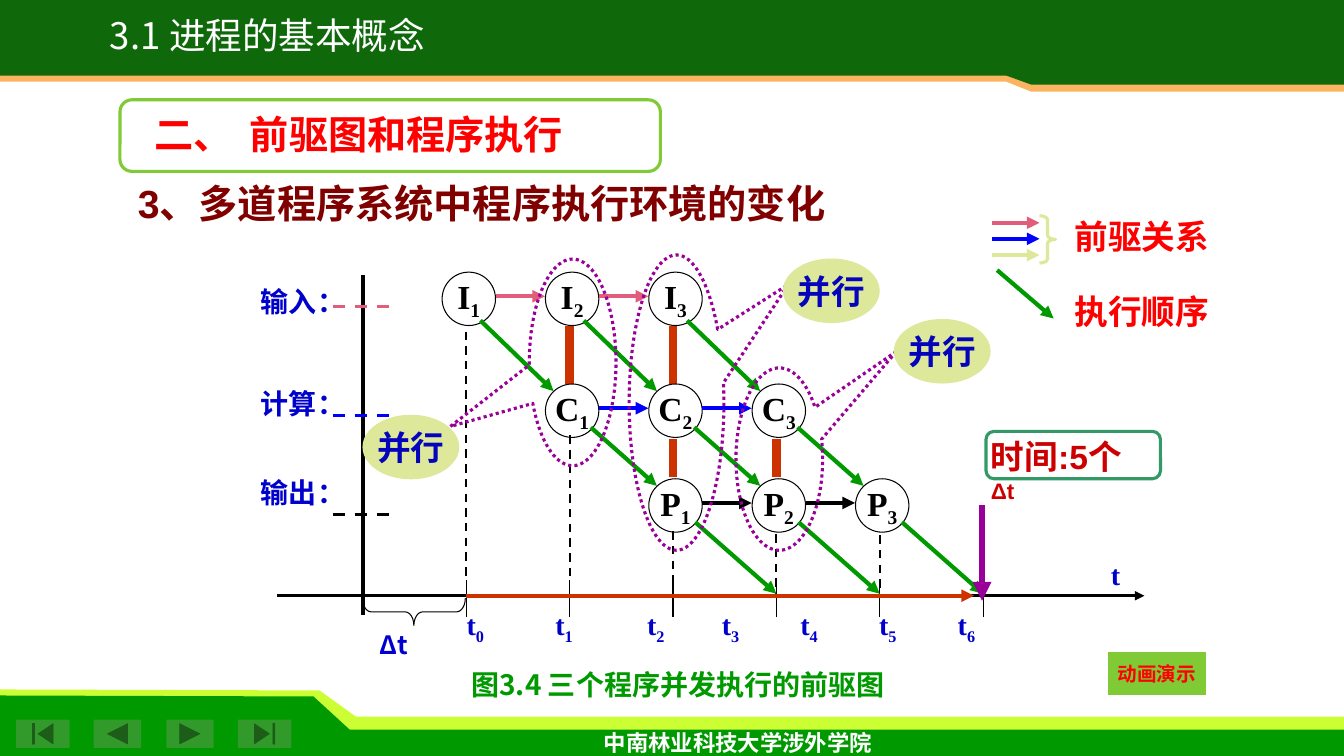
from dataclasses import dataclass

from lxml import etree
from pptx import Presentation
from pptx.dml.color import RGBColor
from pptx.enum.dml import MSO_LINE
from pptx.enum.shapes import MSO_CONNECTOR, MSO_SHAPE
from pptx.enum.text import MSO_ANCHOR, PP_ALIGN
from pptx.oxml.ns import qn
from pptx.util import Inches, Pt

DASH, DOT = MSO_LINE.DASH, MSO_LINE.ROUND_DOT
LEFT, CENTER = PP_ALIGN.LEFT, PP_ALIGN.CENTER
TOP, MIDDLE = MSO_ANCHOR.TOP, MSO_ANCHOR.MIDDLE
STRAIGHT = MSO_CONNECTOR.STRAIGHT
OVAL, ROUNDED = MSO_SHAPE.OVAL, MSO_SHAPE.ROUNDED_RECTANGLE
CALLOUT = MSO_SHAPE.OVAL_CALLOUT
LEFT_BRACE, RIGHT_BRACE = MSO_SHAPE.LEFT_BRACE, MSO_SHAPE.RIGHT_BRACE
BLANK_BUTTON = MSO_SHAPE.ACTION_BUTTON_CUSTOM
FIRST_BUTTON = MSO_SHAPE.ACTION_BUTTON_BEGINNING
BACK_BUTTON = MSO_SHAPE.ACTION_BUTTON_BACK_OR_PREVIOUS
NEXT_BUTTON = MSO_SHAPE.ACTION_BUTTON_FORWARD_OR_NEXT
LAST_BUTTON = MSO_SHAPE.ACTION_BUTTON_END
WIDTH, HEIGHT = 13.33, 7.5


@dataclass(frozen=True)
class Theme:
    sans: str = "Noto Sans CJK SC"
    serif: str = "Times New Roman"
    arial: str = "Arial"
    karla: str = "Karla"
    black: str = "000000"
    white: str = "FFFFFF"
    dark_green: str = "0F690B"
    green: str = "009900"
    button: str = "329A2A"
    lime: str = "CCFF33"
    leaf: str = "80CB35"
    frame: str = "339966"
    orange: str = "FBB561"
    rust: str = "CC3300"
    red: str = "FF0000"
    crimson: str = "CC0000"
    maroon: str = "800000"
    pink: str = "E15D7C"
    blue: str = "0000FF"
    label: str = "0000CC"
    navy: str = "0404BC"
    purple: str = "990099"
    khaki: str = "DDE89A"
    headline: float = 28
    title: float = 26.1
    large: float = 24
    body: float = 20
    delta: float = 18
    small: float = 16
    button_text: float = 14


THEME = Theme()


def write(shape, *paras, font=THEME.serif, size=THEME.body, color=THEME.label, bold=True,
          align=LEFT, anchor=TOP, wrap=True, inset=None, spacing=None, before=(), indent=0, tabs=()):
    """Each para is a string or a list of strings and (text, size, baseline) spans."""
    frame = shape.text_frame
    frame.word_wrap, frame.vertical_anchor = wrap, anchor
    if inset is not None:
        frame.margin_left = frame.margin_right = frame.margin_top = frame.margin_bottom = Inches(inset)
    for index, content in enumerate(paras):
        para = frame.add_paragraph() if index else frame.paragraphs[0]
        para.alignment = align
        if spacing:
            para.line_spacing = spacing
        if index and before:
            para.space_before = Pt(before[index - 1])
        properties = para._p.get_or_add_pPr()
        if indent:
            properties.set("indent", str(Inches(indent)))
        if tabs:
            stops = etree.SubElement(properties, qn("a:tabLst"))
            for stop in tabs:
                etree.SubElement(stops, qn("a:tab"), pos=str(Inches(stop)), algn="l")
        for item in [content] if isinstance(content, str) else content:
            if item == "\n":
                para.add_line_break()
                continue
            text, span_size, baseline = (item, size, 0) if isinstance(item, str) else item
            span = para.add_run()
            span.text = text
            span.font.size, span.font.bold, span.font.name = Pt(span_size), bold, font
            span.font.color.rgb = RGBColor.from_string(color)
            run_properties = span._r.get_or_add_rPr()
            etree.SubElement(run_properties, qn("a:ea"), typeface=THEME.sans)
            if baseline:
                run_properties.set("baseline", str(baseline * 1000))


def subscript(text, size):
    return text, size, -25


@dataclass
class Region:
    """A box on the page; its parts are placed in one-inch columns and rows from its corner."""
    page: object
    left: float = 0
    top: float = 0

    def spot(self, x, y):
        return Inches(self.left + x), Inches(self.top + y)

    def shape(self, kind, x, y, width, height, fill=None, line=None, weight=0.75, dash=None, adjust=()):
        shape = self.page.shapes.add_shape(kind, *self.spot(x, y), Inches(width), Inches(height))
        for index, value in enumerate(adjust):
            shape.adjustments[index] = value
        return paint(shape, fill, line, weight, dash)

    def outline(self, points, fill):
        first, *others = [self.spot(*point) for point in points]
        builder = self.page.shapes.build_freeform(*first)
        builder.add_line_segments(others, close=True)
        return paint(builder.convert_to_shape(), fill)

    def line(self, start, end, color, weight, dash=None, arrow=False):
        line = self.page.shapes.add_connector(STRAIGHT, *self.spot(*start), *self.spot(*end))
        line.line.color.rgb = RGBColor.from_string(color)
        line.line.width = Pt(weight)
        if dash:
            line.line.dash_style = dash
        if arrow:
            etree.SubElement(line.line._get_or_add_ln(), qn("a:tailEnd"), type="triangle")
        etree.SubElement(line._element.spPr, qn("a:effectLst"))

    def text(self, x, y, width, height, *paras, **style):
        box = self.page.shapes.add_textbox(*self.spot(x, y), Inches(width), Inches(height))
        write(box, *paras, **style)


def paint(shape, fill=None, line=None, weight=0.75, dash=None):
    shape.shadow.inherit = False
    if fill:
        shape.fill.solid()
        shape.fill.fore_color.rgb = RGBColor.from_string(fill)
    else:
        shape.fill.background()
    if line:
        shape.line.color.rgb = RGBColor.from_string(line)
        shape.line.width = Pt(weight)
        if dash:
            shape.line.dash_style = dash
    else:
        shape.line.fill.background()
    return shape


def draw_header(region):
    for color, left_edge, right_edge in ((THEME.orange, 0.81, 0.91), (THEME.dark_green, 0.75, 0.84)):
        region.outline([(0, 0), (0, left_edge), (9.98, left_edge), (10.23, right_edge),
                        (WIDTH, right_edge), (WIDTH, 0)], color)
    title = region.page.shapes.title
    title.left, title.top = region.spot(0.49, 0.16)
    title.width, title.height = Inches(4.33), Inches(0.46)
    write(title, "3.1 进程的基本概念", font=THEME.sans, size=THEME.title, color=THEME.white,
          bold=False, align=CENTER, wrap=False, spacing=0.8)
    region.page.shapes._spTree.append(title._element)


def draw_footer(region):
    bottom = HEIGHT - region.top
    for color, top, corner, edge in ((THEME.lime, 0, 3.17, 0.27), (THEME.green, 0.06, 3.11, 0.4)):
        region.outline([(0, bottom), (0, top), (corner, top + 0.01), (corner + 0.36, edge),
                        (WIDTH, edge), (WIDTH, bottom)], color)
    for kind, x, width in ((FIRST_BUTTON, 0.16, 0.53), (BACK_BUTTON, 0.93, 0.47),
                           (NEXT_BUTTON, 1.65, 0.47), (LAST_BUTTON, 2.36, 0.53)):
        region.shape(kind, x, 0.3, width, 0.28, THEME.button)
    region.text(5.89, 0.34, 2.89, 0.37, "中南林业科技大学涉外学院", font=THEME.karla,
                size=THEME.small, color=THEME.white, wrap=False)


def draw_headings(region):
    region.shape(ROUNDED, 0, 0, 5.36, 0.71, THEME.white, THEME.leaf, 2.25)
    region.text(0.24, 0.06, 5.75, 0.57, "二、\t前驱图和程序执行", size=THEME.headline,
                color=THEME.red, tabs=[0.95])
    region.text(-0.03, 0.79, 7.17, 0.52, "3、多道程序系统中程序执行环境的变化", font=THEME.arial,
                size=THEME.headline, color=THEME.maroon, spacing=0.9, indent=0.11)


def draw_diagram(region):
    """The region's corner is the top of the input row on the vertical axis."""
    axis, node = 3.21, 0.53
    ticks = [6.15 / 6 * slot for slot in range(1, 7)]
    lefts = [tick - 0.24 for tick in ticks]
    region.line((0, 0.03), (0, 3.4), THEME.black, 2.25)
    region.line((-0.85, axis), (7.75, axis), THEME.black, 2.25, arrow=True)
    region.text(-1.11, 0.04, 1.1, 2.89, "输入：", "计算：", "输出：", spacing=1.1, before=(46.7, 36.7))
    stops = (2.21, 3.09, 4, 4.74, 5.52, 6.3, 7.08)
    times = [span for index in range(len(stops))
             for span in ("\tt", subscript(str(index), THEME.body))]
    region.text(-1.28, 3.28, 8.29, 0.56, times, tabs=stops)
    brace = region.shape(LEFT_BRACE, 0.37, 2.86, 0.27, 1.02, line=THEME.black, adjust=(0.32, 0.5))
    brace.rotation = 270
    region.text(0.07, 3.49, 0.88, 0.56, "Δt", font=THEME.sans, size=THEME.delta)
    region.text(7.32, 2.78, 0.44, 0.56, "t")

    for tick in ticks:
        region.line((tick, 3.05), (tick, 3.42), THEME.black, 0.75)
    for tick, top, bottom in zip(ticks, (0.59, 1.62, 2.57, 2.6, 2.61), (3.03, 3.03, axis, axis, axis)):
        region.line((tick, top), (tick, bottom), THEME.black, 1.5, DASH)
    for slot, top, bottom in ((1, 0.53, 1.11), (2, 0.53, 1.11), (2, 1.66, 2.03), (3, 1.66, 2.03)):
        region.line((ticks[slot], top), (ticks[slot], bottom), THEME.rust, 6)

    row_tops = (0, 1.11, 2.05)
    rows = (("I", THEME.pink, (0.38, 0.48), 0.34), ("C", THEME.blue, (0.45, 0.43), 1.42),
            ("P", THEME.black, (0.46, 0.43), 2.4))
    for row, (letter, color, (exit_x, exit_y), key_y) in enumerate(rows):
        top = row_tops[row]
        region.line((-0.3, key_y), (0.27, key_y), color, 2.25, DASH)
        for column in range(3):
            left = lefts[row + column]
            circle = region.shape(OVAL, left, top, node, node, line=THEME.black)
            write(circle, [letter, subscript(str(column + 1), THEME.large)], size=THEME.large,
                  color=THEME.black, align=CENTER, anchor=MIDDLE, wrap=False, inset=0)
            if column < 2:
                region.line((left + node, top + 0.24), (left + node + 0.49, top + 0.24), color, 3, arrow=True)
            if row < 2:
                target = (lefts[row + column + 1] + 0.08, row_tops[row + 1] + 0.07)
            else:
                target = (ticks[row + column + 1], axis - 0.02)
            region.line((left + exit_x, top + exit_y), target, THEME.green, 3, arrow=True)

    region.line((6.14, 2.31), (6.14, 3.26), THEME.purple, 4.5, arrow=True)
    region.line((ticks[0], axis), (6.06, axis), THEME.rust, 3, arrow=True)
    region.shape(ROUNDED, 6.18, 1.58, 1.73, 0.47, THEME.white, THEME.frame, 2.25)
    region.text(6.13, 1.58, 1.89, 0.5, ["时间:5个", "\n", ("Δt", THEME.small, 0)],
                font=THEME.arial, size=THEME.large, color=THEME.crimson)
    region.text(0, 3.87, 6.25, 0.56, "图3.4 三个程序并发执行的前驱图", font=THEME.sans,
                color=THEME.green, align=CENTER)


def draw_parallel_pairs(region):
    pairs = (((1.65, -0.13, 0.86, 2.05), (-1.41, 0.31), (0, 1.42)),
             ((2.64, -0.17, 0.94, 2.93), (1.18, -0.4), (4.17, -0.13)),
             ((3.7, 0.95, 0.86, 1.81), (1.35, -0.59), (5.27, 0.47)))
    for ring, pointer, bubble in pairs:
        region.shape(CALLOUT, *ring, line=THEME.purple, weight=2.25, dash=DOT, adjust=pointer)
        oval = region.shape(OVAL, *bubble, 0.95, 0.63, THEME.khaki, THEME.khaki)
        write(oval, "并行", font=THEME.arial, size=THEME.large, color=THEME.navy,
              align=CENTER, anchor=MIDDLE, wrap=False, inset=0)


def draw_legend(region):
    for row, color in enumerate((THEME.pink, THEME.blue, THEME.khaki)):
        y = 0.12 + 0.16 * row
        region.line((0, y), (0.47, y), color, 3, arrow=True)
    region.shape(RIGHT_BRACE, 0.47, 0.05, 0.16, 0.47, line=THEME.khaki, weight=2.25, adjust=(0.25, 0.5))
    region.line((0.05, 0.59), (0.61, 1.07), THEME.green, 3, arrow=True)
    for y, name in ((0, "前驱关系"), (0.75, "执行顺序")):
        region.text(0.72, y, 1.58, 0.5, name, font=THEME.karla, size=THEME.large, color=THEME.red)


def draw_demo_button(region):
    button = region.shape(BLANK_BUTTON, 0, 0, 0.97, 0.42, THEME.leaf)
    write(button, "动画演示", font=THEME.karla, size=THEME.button_text, color=THEME.red,
          align=CENTER, anchor=MIDDLE, wrap=False)


def main():
    deck = Presentation()
    deck.slide_width, deck.slide_height = Inches(WIDTH), Inches(HEIGHT)
    page = deck.slides.add_slide(deck.slide_layouts[5])
    draw_footer(Region(page, 0, 6.84))
    draw_header(Region(page))
    draw_diagram(Region(page, 3.6, 2.7))
    draw_parallel_pairs(Region(page, 3.6, 2.7))
    draw_legend(Region(page, 9.84, 2.09))
    draw_headings(Region(page, 1.19, 0.99))
    draw_demo_button(Region(page, 10.99, 6.47))
    deck.save("out.pptx")


if __name__ == "__main__":
    main()
